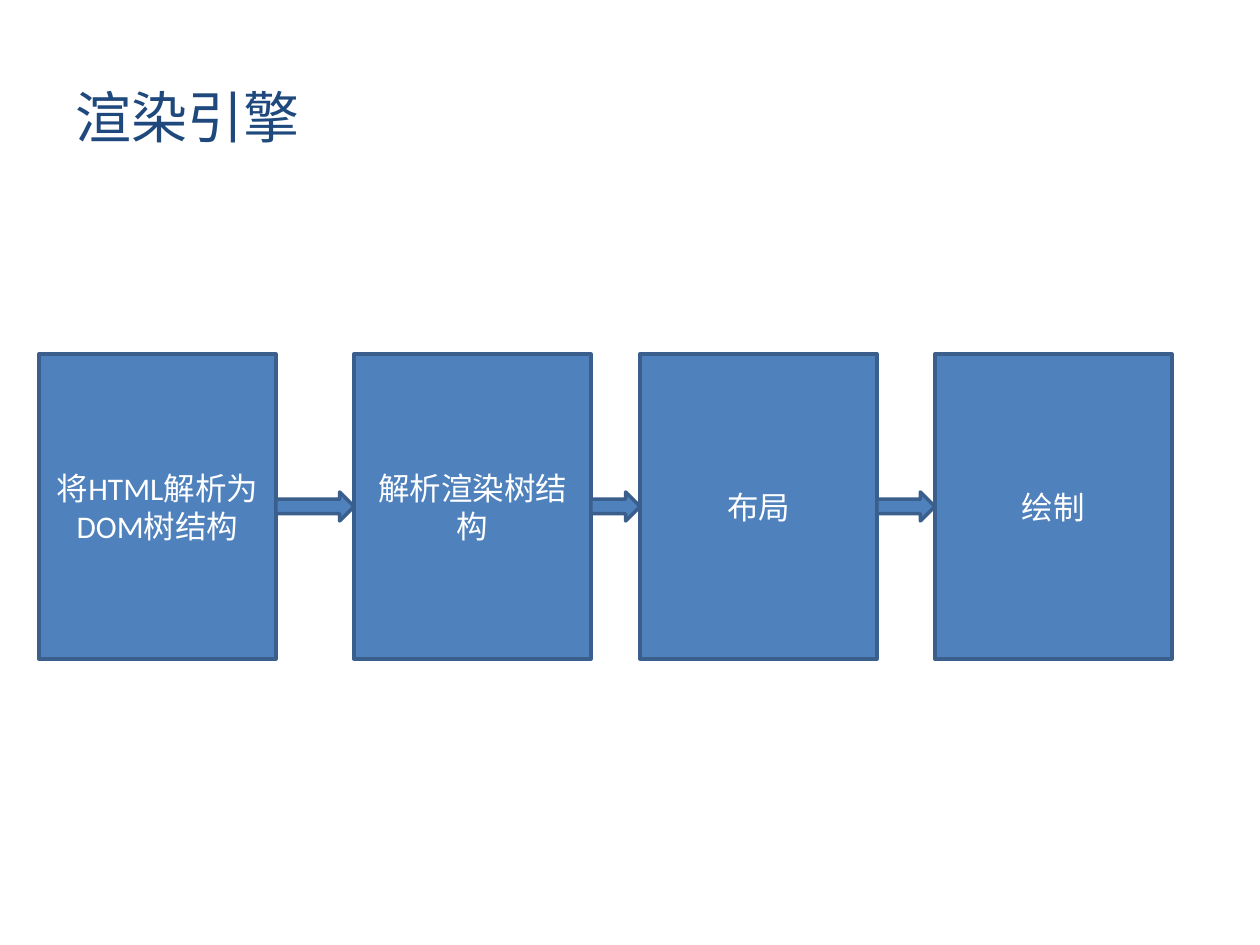
from dataclasses import dataclass
from itertools import pairwise

from lxml.etree import SubElement
from pptx import Presentation
from pptx.dml.color import RGBColor
from pptx.enum.shapes import MSO_SHAPE as Shape
from pptx.enum.text import MSO_ANCHOR as Anchor, PP_ALIGN as Align
from pptx.oxml.ns import qn
from pptx.util import Inches, Pt


@dataclass(frozen=True)
class Theme:
    """Colours, fonts and sizes shared by the whole slide."""
    title: RGBColor = RGBColor(0x1F, 0x49, 0x7D)
    fill: RGBColor = RGBColor(0x4F, 0x81, 0xBD)
    line: RGBColor = RGBColor(0x3A, 0x5F, 0x8C)
    text: RGBColor = RGBColor(0xFF, 0xFF, 0xFF)
    latin: str = "Calibri"
    chinese: str = "Noto Sans CJK SC"
    title_size: int = 32
    body_size: int = 18
    line_width: int = 2


THEME = Theme()
BOX_TOP, BOX_WIDTH, BOX_HEIGHT = 2.81, 1.88, 2.42
ARROW_HEIGHT = 0.23
STEPS = [
    (0.31, "将HTML解析为DOM树结构"),
    (2.81, "解析渲染树结构"),
    (5.08, "布局"),
    (7.42, "绘制"),
]


def write_text(frame, text, latin, size, color, align):
    """Fill a text frame with one formatted, vertically centred paragraph."""
    frame.word_wrap = True
    frame.vertical_anchor = Anchor.MIDDLE
    para = frame.paragraphs[0]
    para.alignment = align
    span = para.add_run()
    span.text = text
    for name, value in {"name": latin, "size": Pt(size)}.items():
        setattr(span.font, name, value)
    span.font.color.rgb = color
    properties = span.font._element
    SubElement(properties, qn("a:ea"), typeface=THEME.chinese)


def add_title(page, text):
    """Place and fill the title placeholder."""
    title = page.shapes.title
    place = {"left": 0.5, "top": 0.3, "width": 9, "height": 1.25}
    for name, value in place.items():
        setattr(title, name, Inches(value))
    write_text(title.text_frame, text, THEME.chinese, THEME.title_size,
               THEME.title, Align.LEFT)


def add_block(page, kind, left, top, width, height):
    """Add an outlined preset shape in the theme colours."""
    block = page.shapes.add_shape(
        kind, *(Inches(value) for value in (left, top, width, height)))
    block.shadow.inherit = False
    block.fill.solid()
    block.fill.fore_color.rgb = THEME.fill
    block.line.color.rgb = THEME.line
    block.line.width = Pt(THEME.line_width)
    return block


def add_step(page, left, text):
    """Add one labelled step of the rendering process."""
    box = add_block(page, Shape.RECTANGLE, left, BOX_TOP, BOX_WIDTH, BOX_HEIGHT)
    write_text(box.text_frame, text, THEME.latin, THEME.body_size,
               THEME.text, Align.CENTER)


def add_arrow(page, left, right):
    """Add an arrow that spans the gap between two steps."""
    top = BOX_TOP + (BOX_HEIGHT - ARROW_HEIGHT) / 2
    add_block(page, Shape.RIGHT_ARROW, left, top, right - left, ARROW_HEIGHT)


def main():
    """Build and save the slide."""
    deck = Presentation()
    deck.slide_width, deck.slide_height = Inches(10), Inches(7.5)
    page = deck.slides.add_slide(deck.slide_layouts[5])
    add_title(page, "渲染引擎")
    for left, text in STEPS:
        add_step(page, left, text)
    for (left, _), (next_left, _) in pairwise(STEPS):
        add_arrow(page, left + BOX_WIDTH, next_left)
    deck.save("out.pptx")


if __name__ == "__main__":
    main()
